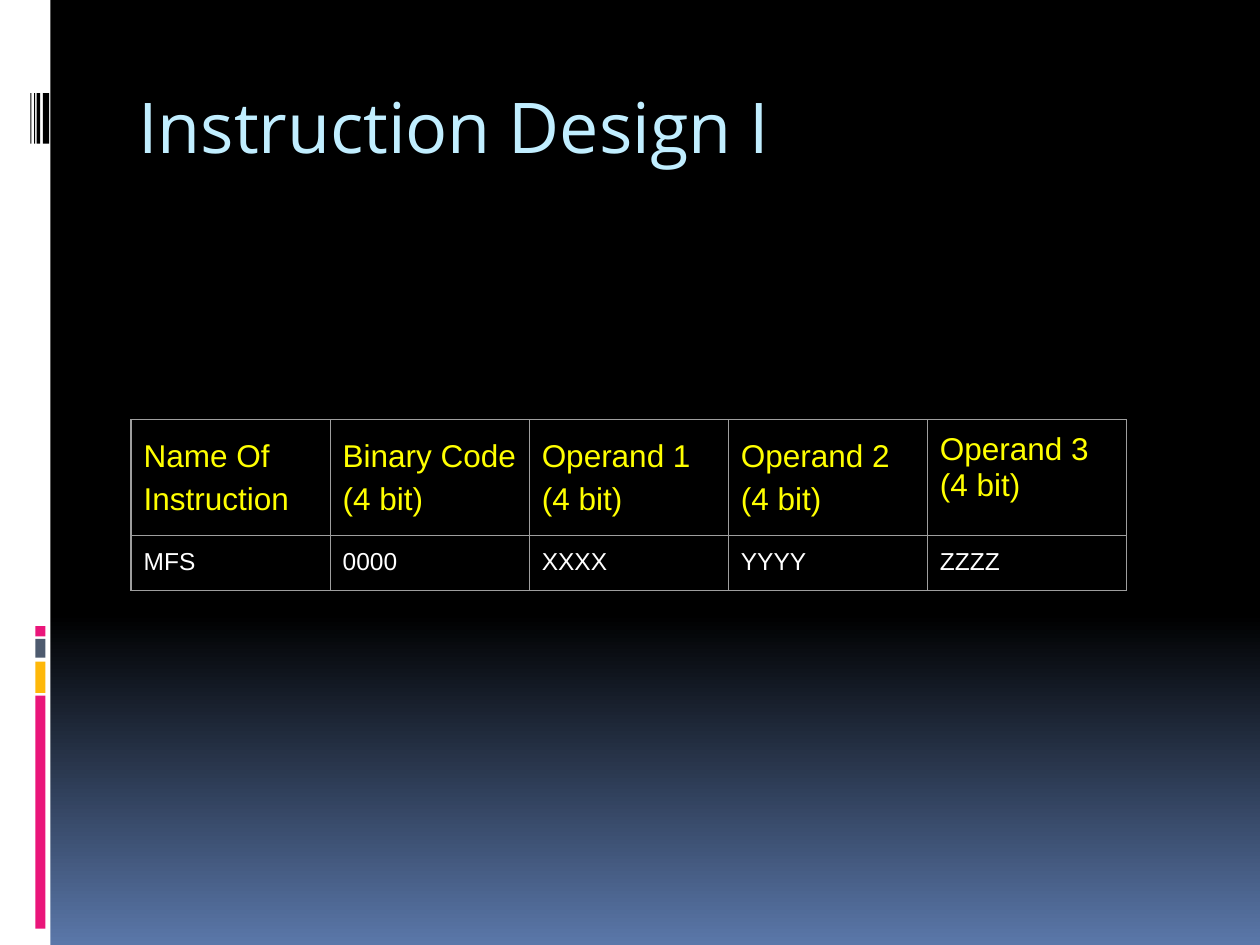
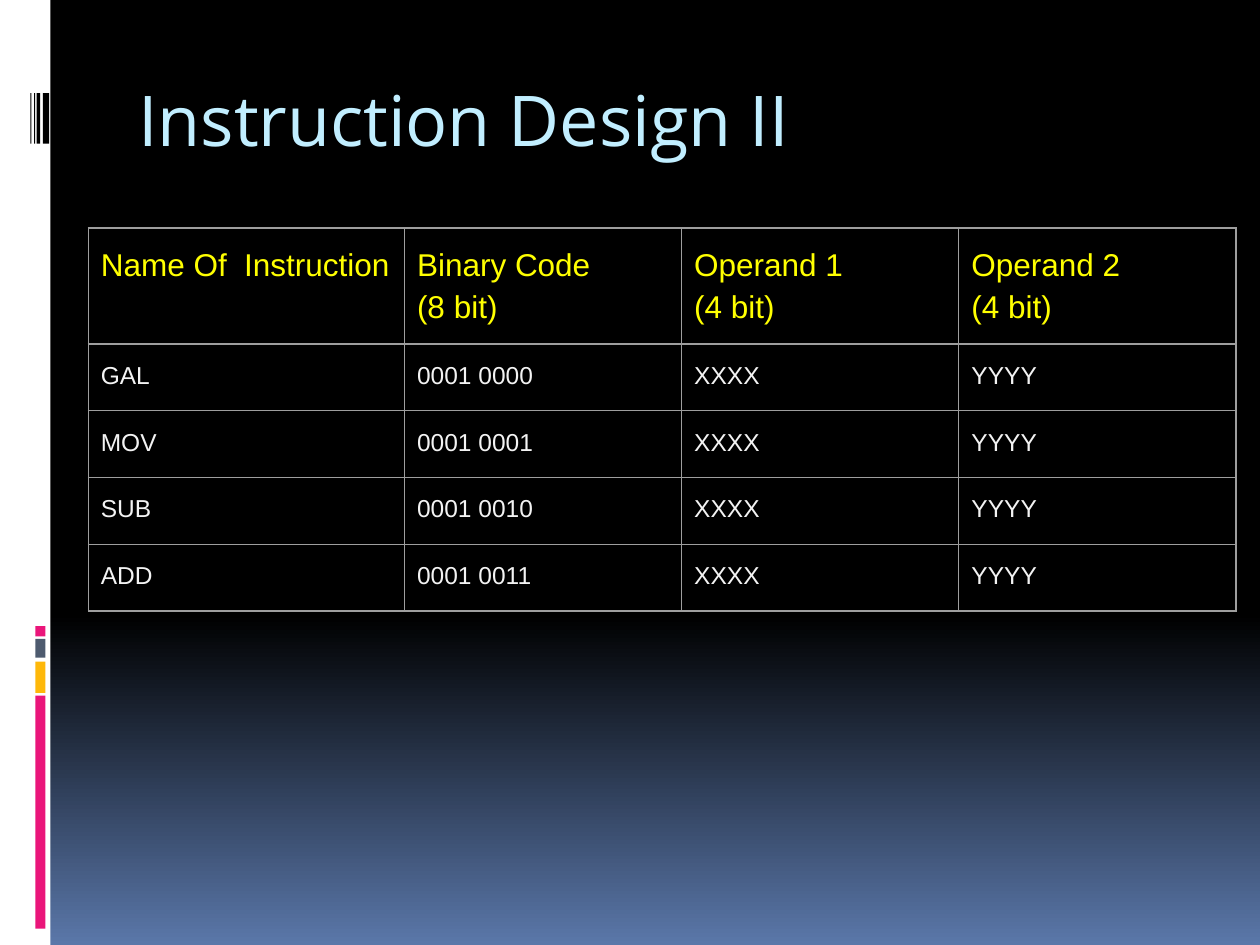
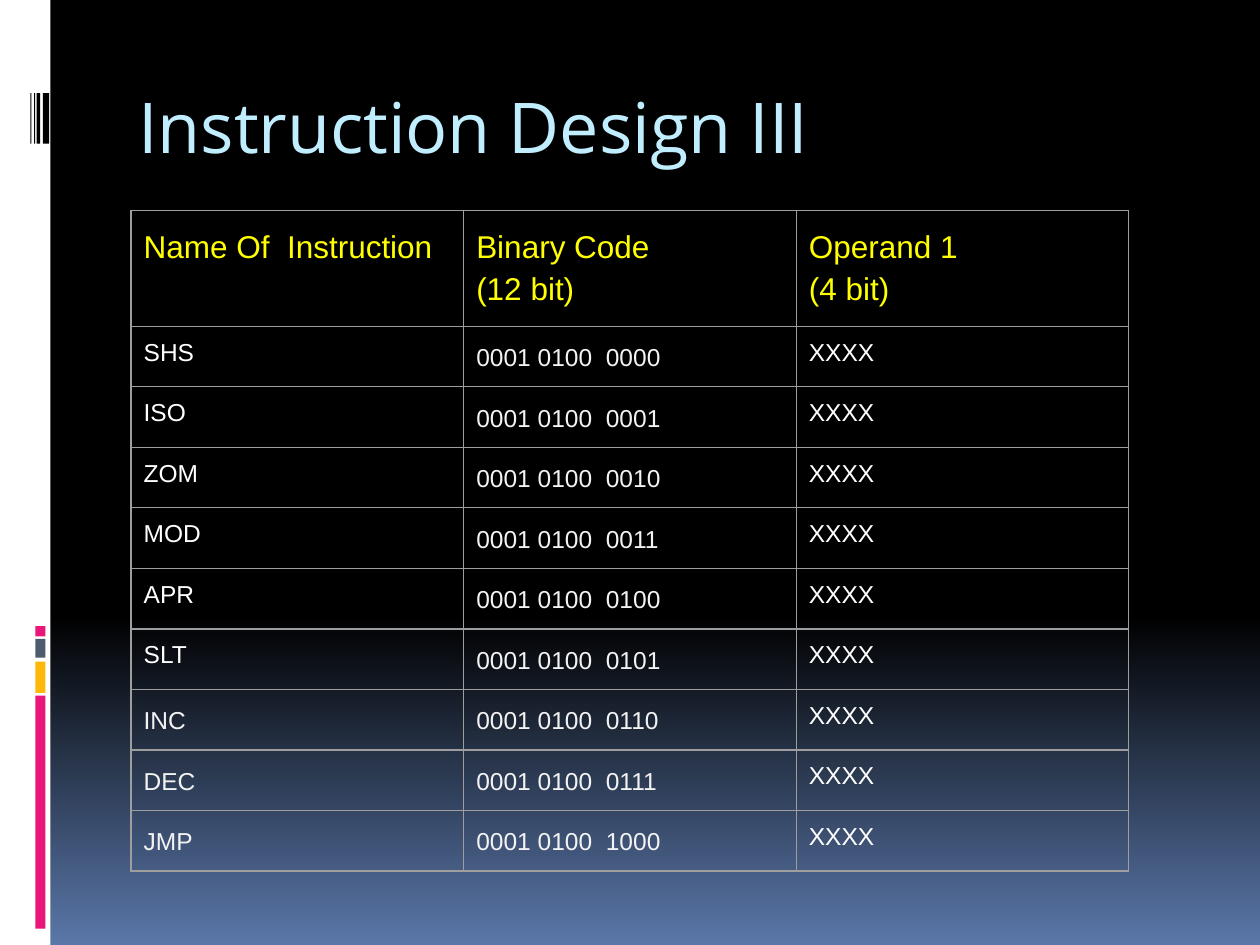
"""Build three dark slides that list the instruction formats as tables."""
import copy
import dataclasses
import typing

import pptx
import pptx.dml.color
import pptx.enum.shapes
import pptx.enum.text
import pptx.oxml
import pptx.oxml.ns
import pptx.util

Inches = pptx.util.Inches
qn = pptx.oxml.ns.qn


@dataclasses.dataclass(frozen=True)
class Theme:
    black: str = "000000"
    white: str = "FFFFFF"
    soft: str = "F3F3F3"
    blue: str = "5A77A9"
    pink: str = "EA157A"
    gold: str = "FEB80A"
    slate: str = "4E5B6F"
    ice: str = "C1EEFF"
    frost: str = "C1EDFF"
    yellow: str = "FFFF00"
    grid: str = "9E9E9E"
    title_font: str = "Open Sans"
    body_font: str = "Arial"
    title_size: float = 40
    head_size: float = 18
    cell_size: float = 14
    grid_width: float = 0.75
    pad: float = 0.1


T = Theme()


class Bar(typing.NamedTuple):
    left: float
    top: float
    width: float
    height: float
    color: str


class Face(typing.NamedTuple):
    font: str
    size: float
    color: str
    lead: float | None = None


class Cell(typing.NamedTuple):
    face: Face
    lines: tuple[str, ...]


class Grid(typing.NamedTuple):
    left: float
    top: float
    width: float
    height: float
    cols: list[float]
    rows: list[float]
    cells: list[list[Cell]]


class Page(typing.NamedTuple):
    title: list[tuple[str, str]]
    inset: float
    grid: Grid


HEAD = Face(T.body_font, T.head_size, T.yellow, 1.2)
TIGHT = HEAD._replace(lead=None)
PLAIN = Face(T.body_font, T.cell_size, T.white)
LOOSE = Face(T.body_font, T.cell_size, T.soft, 1.2)

BARS = [Bar(0, 0, 0.4, 7.5, T.white)]
BARS += [Bar(0.28, top, 0.08, height, color) for top, height, color in (
    (5.52, 1.85, T.pink), (5.25, 0.25, T.gold), (5.07, 0.15, T.slate), (4.97, 0.08, T.pink))]
BARS += [Bar(left, 0.74, width, 0.4, T.black) for left, width in (
    (0.34, 0.05), (0.29, 0.03), (0.27, 0.01), (0.24, 0.01))]


def make_row(face: Face, *texts: str) -> list[Cell]:
    return [Cell(face, (text,)) for text in texts]


def make_head(bits: int, count: int) -> list[Cell]:
    fields = [("Binary Code", bits)] + [(f"Operand {n}", 4) for n in range(1, count + 1)]
    return make_row(HEAD, "Name Of  Instruction") + [
        Cell(HEAD, (name, f"({size} bit)")) for name, size in fields]


def make_jump(code: int, name: str) -> list[Cell]:
    return (make_row(PLAIN if code < 6 else LOOSE, name)
            + make_row(LOOSE, f"0001 0100  {code:04b}") + make_row(PLAIN, "XXXX"))


WIDE = make_head(4, 3)
WIDE[-1] = WIDE[-1]._replace(face=TIGHT)

PAGES = [
    Page([("Instruction Design I", T.ice)], 0.1, Grid(
        1.04, 3.33, 7.92, 1.36, [1.58] * 5, [0.42] * 2,
        [WIDE, make_row(PLAIN, "MFS", "0000", "XXXX", "YYYY", "ZZZZ")])),
    Page([("Instruction Design II", T.ice)], 0.05, Grid(
        0.7, 1.81, 9.1, 3.05, [2.51] + [2.2] * 3, [0.82] + [0.53] * 4,
        [make_head(8, 2)] + [make_row(LOOSE, name, f"0001 {code:04b}", "XXXX", "YYYY")
                             for code, name in enumerate(("GAL", "MOV", "SUB", "ADD"))])),
    Page([("Instruction Design II", T.ice), ("I", T.frost)], 0.1, Grid(
        1.04, 1.67, 7.92, 5.27, [2.64] * 3, [0.42] * 10,
        [make_head(12, 1)] + [make_jump(code, name) for code, name in enumerate(
            ("SHS", "ISO", "ZOM", "MOD", "APR", "SLT", "INC", "DEC", "JMP"))])),
]


def rgb(color: str) -> pptx.dml.color.RGBColor:
    return pptx.dml.color.RGBColor.from_string(color)


def add_run(para: typing.Any, text: str, face: Face) -> None:
    run = para.add_run()
    run.text = text
    run.font.name = face.font
    run.font.size = pptx.util.Pt(face.size)
    run.font.color.rgb = rgb(face.color)
    if face.lead:
        para.line_spacing = face.lead


def paint_back(master: typing.Any) -> None:
    fill = master.background.fill
    fill.gradient()
    fill.gradient_angle = 270
    start, end = fill.gradient_stops
    start.color.rgb, start.position = rgb(T.black), 0.65
    end.color.rgb, end.position = rgb(T.blue), 1.0
    stops = master.element.find(".//" + qn("a:gsLst"))
    first = copy.deepcopy(stops[0])
    first.set("pos", "0")
    stops.insert(0, first)


def draw_bar(slide: typing.Any, bar: Bar) -> typing.Any:
    shape = slide.shapes.add_shape(
        pptx.enum.shapes.MSO_SHAPE.RECTANGLE, *(Inches(size) for size in bar[:4]))
    shape.shadow.inherit = False
    shape.fill.solid()
    shape.fill.fore_color.rgb = rgb(bar.color)
    shape.line.fill.background()
    return shape


def dress(layout: typing.Any, slide: typing.Any) -> None:
    for holder in list(layout.placeholders):
        layout.shapes.element.remove(holder.element)
    for shape in [draw_bar(slide, bar) for bar in BARS]:
        layout.shapes.element.append(shape.element)


def draw_title(slide: typing.Any, page: Page) -> None:
    box = slide.shapes.add_textbox(Inches(1), Inches(0.56), Inches(8.5), Inches(1))
    frame = box.text_frame
    frame.word_wrap = True
    frame.vertical_anchor = pptx.enum.text.MSO_ANCHOR.TOP
    frame.margin_left = frame.margin_right = Inches(T.pad)
    frame.margin_top = frame.margin_bottom = Inches(page.inset)
    for text, color in page.title:
        add_run(frame.paragraphs[0], text, Face(T.title_font, T.title_size, color))


def fill_cell(slot: typing.Any, cell: Cell) -> None:
    slot.fill.background()
    slot.margin_left = slot.margin_right = Inches(T.pad)
    slot.margin_top = slot.margin_bottom = Inches(T.pad)
    for spot, line in enumerate(cell.lines):
        frame = slot.text_frame
        add_run(frame.add_paragraph() if spot else frame.paragraphs[0], line, cell.face)


def add_edges(props: typing.Any) -> None:
    for spot, side in enumerate("LRTB"):
        props.insert(spot, pptx.oxml.parse_xml(
            f'<a:ln{side} {pptx.oxml.ns.nsdecls("a")} w="{pptx.util.Pt(T.grid_width)}">'
            f'<a:solidFill><a:srgbClr val="{T.grid}"/></a:solidFill></a:ln{side}>'))


def draw_grid(slide: typing.Any, grid: Grid) -> None:
    frame = slide.shapes.add_table(
        len(grid.rows), len(grid.cols), *(Inches(size) for size in grid[:4]))
    table = frame.table
    table.first_row = table.horz_banding = False
    for col, width in zip(table.columns, grid.cols):
        col.width = Inches(width)
    for row, height, cells in zip(table.rows, grid.rows, grid.cells):
        row.height = Inches(height)
        for slot, cell in zip(row.cells, cells):
            fill_cell(slot, cell)
    frame.height = Inches(grid.height)
    for props in frame.element.iter(qn("a:tcPr")):
        add_edges(props)


def main() -> None:
    deck = pptx.Presentation()
    deck.slide_width, deck.slide_height = Inches(10), Inches(7.5)
    layout = deck.slide_layouts[6]
    paint_back(deck.slide_master)
    slides = [deck.slides.add_slide(layout) for _ in PAGES]
    dress(layout, slides[0])
    for slide, page in zip(slides, PAGES):
        draw_title(slide, page)
        draw_grid(slide, page.grid)
    deck.save("out.pptx")


if __name__ == "__main__":
    main()
